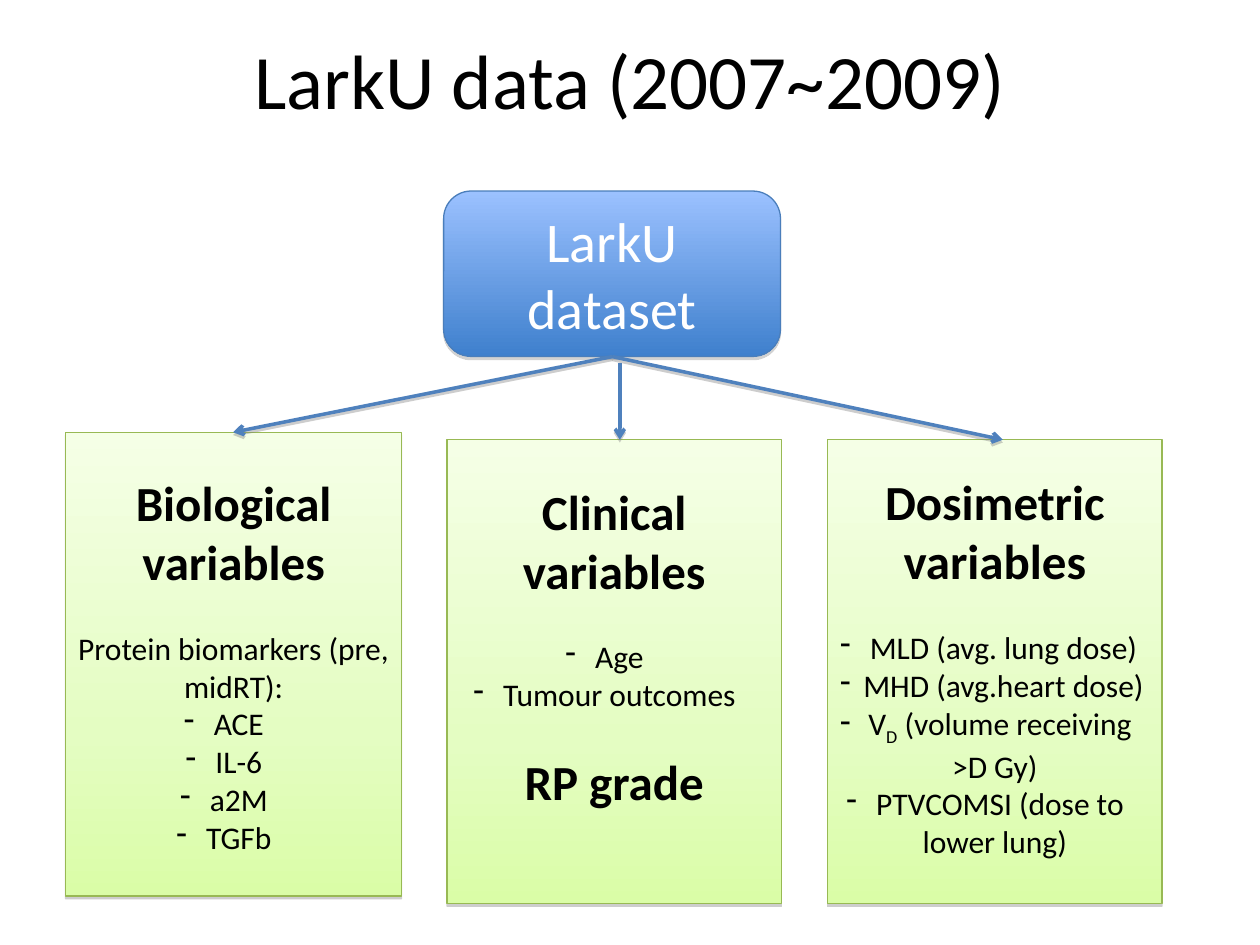
import copy
import pptx
import pptx.util
import pptx.dml.color
import pptx.enum.shapes
import pptx.enum.text
import pptx.oxml
import pptx.oxml.ns

Pt = pptx.util.Pt
qn = pptx.oxml.ns.qn
NAMESPACE = "http://schemas.openxmlformats.org/drawingml/2006/main"


def color(value):
    return pptx.dml.color.RGBColor.from_string(value)


def fragment(markup):
    return pptx.oxml.parse_xml(markup.replace(" ", f' xmlns:a="{NAMESPACE}" ', 1))


class SlideBuilder:
    font = "Calibri"
    text_color = "000000"
    arrow_color = "4F81BD"
    blue = ([(0, "9BC1FF"), (1, "3F80CD")], "4A7EBB")
    green = ([(0, "F5FFE6"), (0.65, "E4FDC2"), (1, "DAFDA7")], "98B954")
    heading_size = 28
    body_size = 18
    gap = 22

    def __init__(self, slide):
        self.slide = slide

    def format_paragraph(self, paragraph, size, value=text_color, bold=False):
        paragraph.alignment = pptx.enum.text.PP_ALIGN.CENTER
        for run in paragraph.runs:
            run.font.name = self.font
            run.font.size = Pt(size)
            run.font.bold = bold
            run.font.color.rgb = color(value)

    def add_shadow(self, element, opacity, distance):
        effects = fragment(
            f'<a:effectLst ><a:outerShdw blurRad="0" dist="{Pt(distance)}" dir="5400000" '
            f'rotWithShape="0"><a:srgbClr val="808080"><a:alpha val="{opacity}000"/>'
            "</a:srgbClr></a:outerShdw></a:effectLst>")
        element.spPr.append(effects)

    def title(self, text, left, top, width, height):
        title = self.slide.shapes.title
        title.left, title.top, title.width, title.height = map(Pt, (left, top, width, height))
        title.text_frame.text = text
        title.text_frame.vertical_anchor = pptx.enum.text.MSO_ANCHOR.MIDDLE
        self.format_paragraph(title.text_frame.paragraphs[0], 44)

    def box(self, kind, style, opacity, distance, left, top, width, height):
        stops, line_color = style
        shape = self.slide.shapes.add_shape(kind, *map(Pt, (left, top, width, height)))
        shape.fill.gradient()
        shape.fill.gradient_angle = 270
        stop_list = shape._element.spPr.find(qn("a:gradFill")).find(qn("a:gsLst"))
        for _ in stops[2:]:
            stop_list.append(copy.deepcopy(stop_list[-1]))
        for stop, (position, value) in zip(shape.fill.gradient_stops, stops):
            stop.position = position
            stop.color.rgb = color(value)
        shape.line.color.rgb = color(line_color)
        shape.line.width = Pt(0.75)
        self.add_shadow(shape._element, opacity, distance)
        shape.text_frame.word_wrap = True
        shape.text_frame.vertical_anchor = pptx.enum.text.MSO_ANCHOR.MIDDLE
        return shape

    def dataset(self, text, *bounds):
        kind = pptx.enum.shapes.MSO_SHAPE.ROUNDED_RECTANGLE
        shape = self.box(kind, self.blue, 35, 1.8, *bounds)
        shape.text_frame.text = text
        self.format_paragraph(shape.text_frame.paragraphs[0], 32, "FFFFFF")

    def panel(self, lines, bottom_margin, *bounds):
        kind = pptx.enum.shapes.MSO_SHAPE.RECTANGLE
        shape = self.box(kind, self.green, 38, 1.6, *bounds)
        frame = shape.text_frame
        frame.margin_bottom = Pt(bottom_margin)
        previous = None
        for role, text in lines:
            paragraph = frame.add_paragraph() if previous else frame.paragraphs[0]
            for index, part in enumerate(text.split("_")):
                run = paragraph.add_run()
                run.text = part
                if index == 1:
                    run.font._element.set("baseline", "-25000")
            is_heading = role == "heading"
            size = self.heading_size if is_heading else self.body_size
            self.format_paragraph(paragraph, size, bold=is_heading)
            if previous and is_heading != (previous == "heading"):
                paragraph.space_before = Pt(self.gap)
            if role == "bullet":
                paragraph._p.get_or_add_pPr().append(fragment('<a:buChar char="-"/>'))
            previous = role

    def arrow(self, *points):
        kind = pptx.enum.shapes.MSO_CONNECTOR.STRAIGHT
        connector = self.slide.shapes.add_connector(kind, *map(Pt, points))
        connector.line.color.rgb = color(self.arrow_color)
        connector.line.width = Pt(2)
        connector.line._get_or_add_ln().append(fragment('<a:tailEnd type="arrow"/>'))
        self.add_shadow(connector._element, 38, 1.6)


def main():
    presentation = pptx.Presentation()
    presentation.slide_width, presentation.slide_height = Pt(720), Pt(540)
    slide = presentation.slides.add_slide(presentation.slide_layouts[5])
    builder = SlideBuilder(slide)
    builder.title("LarkU data (2007~2009)", 36, 0, 648, 90)
    builder.dataset("LarkU dataset", 253.5, 109.2, 192.5, 94.5)

    biological = [("heading", "Biological variables"),
                  ("text", "Protein biomarkers (pre, midRT):")]
    biological += [("bullet", marker) for marker in ("ACE", "IL-6", "a2M", "TGFb")]
    clinical = [("heading", "Clinical variables"), ("bullet", "Age"),
                ("bullet", "Tumour outcomes"), ("heading", "RP grade")]
    dosimetric = [("heading", "Dosimetric variables"),
                  ("bullet", " MLD (avg. lung dose)"),
                  ("bullet", " MHD (avg.heart dose)"),
                  ("bullet", "V_D_ (volume receiving >D Gy)"),
                  ("bullet", "PTVCOMSI (dose to lower lung)")]
    builder.panel(biological, 3.6, 37.5, 247, 192, 265)
    builder.panel(clinical, 33, 255.5, 251.3, 191, 265)
    builder.panel(dosimetric, 10, 473, 251.3, 191, 265)

    builder.arrow(349.9, 203.8, 133.2, 247)
    builder.arrow(354.2, 207.4, 354.2, 251.3)
    builder.arrow(349.9, 203.8, 573.1, 251.3)
    presentation.save("out.pptx")


if __name__ == "__main__":
    main()
